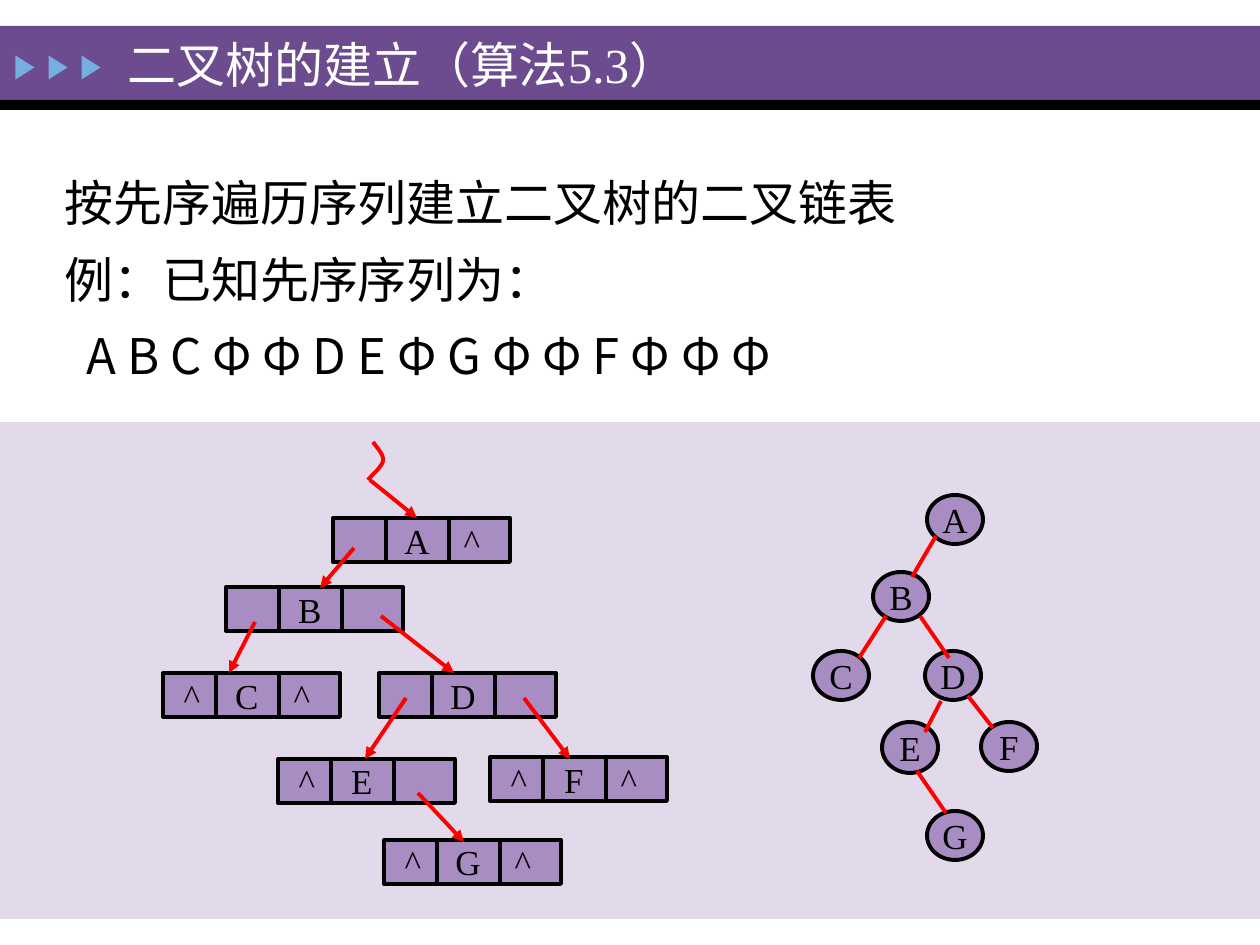
from lxml.etree import SubElement
from pptx import Presentation
from pptx.dml.color import RGBColor
from pptx.enum.shapes import MSO_CONNECTOR, MSO_SHAPE
from pptx.enum.text import MSO_ANCHOR, PP_ALIGN
from pptx.oxml.ns import qn
from pptx.util import Pt

COLORS = {
    "background": "FEFFFF", "bar": "6C4C8F", "black": "000000",
    "marker": "76AEDD", "panel": "E2D9EB", "node": "A78DC2", "link": "FF0000",
}
SERIF, SANS = "Times New Roman", "Noto Sans CJK SC"
RECORD_WIDTH, RECORD_HEIGHT = 177, 44
DIVIDERS = (53, 116)
FIELD_CENTERS = (29, 84, 139)


def px(length):
    return round(length * 914400 / 126)


def color(name):
    return RGBColor.from_string(COLORS[name])


def curve_points(start, control1, control2, end, steps=12):
    for step in range(1, steps + 1):
        t = step / steps
        weights = ((1 - t) ** 3, 3 * t * (1 - t) ** 2, 3 * t * t * (1 - t), t ** 3)
        points = (start, control1, control2, end)
        yield tuple(px(sum(w * p[axis] for w, p in zip(weights, points)))
                    for axis in (0, 1))


class SlideBuilder:
    line_width = Pt(2.25)

    def __init__(self, presentation):
        self.slide = presentation.slides.add_slide(presentation.slide_layouts[5])
        fill = self.slide.background.fill
        fill.solid()
        fill.fore_color.rgb = color("background")

    def format_text(self, paragraph, size, name="black", font=SERIF):
        for run in paragraph.runs:
            run.font.size = Pt(size)
            run.font.name = font
            run.font.color.rgb = color(name)

    def clear_margins(self, frame):
        frame.margin_left = frame.margin_right = 0
        frame.margin_top = frame.margin_bottom = 0

    def shape(self, kind, left, top, width, height, fill, outline=False):
        shape = self.slide.shapes.add_shape(
            kind, px(left), px(top), px(width), px(height))
        shape.shadow.inherit = False
        shape.fill.solid()
        shape.fill.fore_color.rgb = color(fill)
        if outline:
            shape.line.color.rgb = color("black")
            shape.line.width = self.line_width
        else:
            shape.line.fill.background()
        return shape

    def title(self, text, left, top, width, height):
        title = self.slide.shapes.title
        title.left, title.top = px(left), px(top)
        title.width, title.height = px(width), px(height)
        frame = title.text_frame
        frame.text = text
        frame.vertical_anchor = MSO_ANCHOR.MIDDLE
        frame.paragraphs[0].alignment = PP_ALIGN.LEFT
        self.format_text(frame.paragraphs[0], 28, "background")
        title.element.getparent().append(title.element)  # in front of the bar

    def body(self, lines, left, top, width, height):
        frame = self.slide.shapes.add_textbox(
            px(left), px(top), px(width), px(height)).text_frame
        frame.word_wrap = True
        frame.text = "\n".join(text for text, _, _ in lines)
        for paragraph, (_, font, indent) in zip(frame.paragraphs, lines):
            paragraph.line_spacing = 1.3
            paragraph._p.get_or_add_pPr().set("marL", str(px(indent)))
            self.format_text(paragraph, 28, font=font)

    def line(self, start, end, name="link", arrow=False):
        connector = self.slide.shapes.add_connector(
            MSO_CONNECTOR.STRAIGHT, *map(px, start + end))
        connector.line.color.rgb = color(name)
        connector.line.width = self.line_width
        if arrow:
            SubElement(connector.line._get_or_add_ln(), qn("a:tailEnd"), type="triangle")
        SubElement(connector.element.spPr, qn("a:effectLst"))

    def curve(self, start, *segments):
        builder = self.slide.shapes.build_freeform(*map(px, start))
        for segment in segments:
            builder.add_line_segments(list(curve_points(start, *segment)), close=False)
            start = segment[-1]
        shape = builder.convert_to_shape()
        shape.shadow.inherit = False
        shape.fill.background()
        shape.line.color.rgb = color("link")
        shape.line.width = self.line_width

    def circle(self, label, left, top, height=49):
        shape = self.shape(MSO_SHAPE.OVAL, left, top, 56, height, "node", True)
        frame = shape.text_frame
        frame.word_wrap = False
        frame.vertical_anchor = MSO_ANCHOR.MIDDLE
        frame.text = label
        frame.paragraphs[0].alignment = PP_ALIGN.CENTER
        self.format_text(frame.paragraphs[0], 20)

    def record(self, fields, left, top):
        shape = self.shape(MSO_SHAPE.RECTANGLE, left, top,
                           RECORD_WIDTH, RECORD_HEIGHT, "node", True)
        frame = shape.text_frame
        self.clear_margins(frame)
        frame.word_wrap = True
        frame.vertical_anchor = MSO_ANCHOR.MIDDLE
        paragraph = frame.paragraphs[0]
        paragraph.alignment = PP_ALIGN.LEFT
        # One centred tab stop for each filled field
        tabs = SubElement(paragraph._p.get_or_add_pPr(), qn("a:tabLst"))
        for field, center in zip(fields, FIELD_CENTERS):
            if field:
                SubElement(tabs, qn("a:tab"), pos=str(px(center)), algn="ctr")
        paragraph.text = "".join("\t" + field for field in fields if field)
        self.format_text(paragraph, 20)
        for offset in DIVIDERS:
            self.line((left + offset, top), (left + offset, top + RECORD_HEIGHT), "black")


def main():
    presentation = Presentation()
    presentation.slide_width, presentation.slide_height = px(1260), px(945)
    builder = SlideBuilder(presentation)

    # Title bar with markers
    builder.shape(MSO_SHAPE.RECTANGLE, 0, 26, 1260, 75, "bar")
    builder.shape(MSO_SHAPE.RECTANGLE, 0, 100, 1260, 10, "black")
    for index in range(3):
        marker = builder.shape(MSO_SHAPE.ISOSCELES_TRIANGLE,
                               13 + 33 * index, 58, 24, 19, "marker")
        marker.rotation = 90
    builder.title("二叉树的建立（算法5.3）", 115, 28, 738, 71)

    # Panel and explanation
    builder.shape(MSO_SHAPE.RECTANGLE, 0, 422, 1260, 497, "panel")
    builder.body([
        ("按先序遍历序列建立二叉树的二叉链表", SERIF, 0),
        ("例：已知先序序列为：", SERIF, 0),
        ("A B C Φ Φ D E Φ G Φ Φ F Φ Φ Φ", SANS, 22),
    ], 52, 149, 1188, 244)

    # Binary tree
    for label, left, top in (("A", 927, 495), ("B", 873, 572), ("C", 813, 651),
                             ("D", 925, 651), ("F", 981, 722), ("G", 927, 811)):
        builder.circle(label, left, top)
    builder.circle("E", 882, 722, 51)
    for start, end in (((936, 536), (912, 577)), ((886, 616), (859, 658)),
                       ((920, 616), (949, 658)), ((941, 701), (925, 732)),
                       ((968, 696), (993, 728)), ((917, 771), (946, 813))):
        builder.line(start, end)

    # Linked records: left field, data, right field
    for fields, left, top in ((("", "A", "^"), 333, 518), (("", "B", ""), 226, 587),
                              (("^", "C", "^"), 163, 673), (("", "D", ""), 379, 673),
                              (("^", "E", ""), 278, 759), (("^", "F", "^"), 490, 757),
                              (("^", "G", "^"), 384, 840)):
        builder.record(fields, left, top)

    # Pointers between records, then the root pointer
    for start, end in (((354, 548), (320, 588)), ((255, 622), (229, 673)),
                       ((381, 616), (454, 673)), ((406, 698), (365, 759)),
                       ((524, 698), (570, 759)), ((418, 793), (464, 842)),
                       ((370, 480), (417, 518))):
        builder.line(start, end, arrow=True)
    builder.curve((373, 442),
                  ((378, 449), (384, 455), (383, 461)),
                  ((382, 467), (370, 477), (368, 480)))

    presentation.save("out.pptx")


if __name__ == "__main__":
    main()
